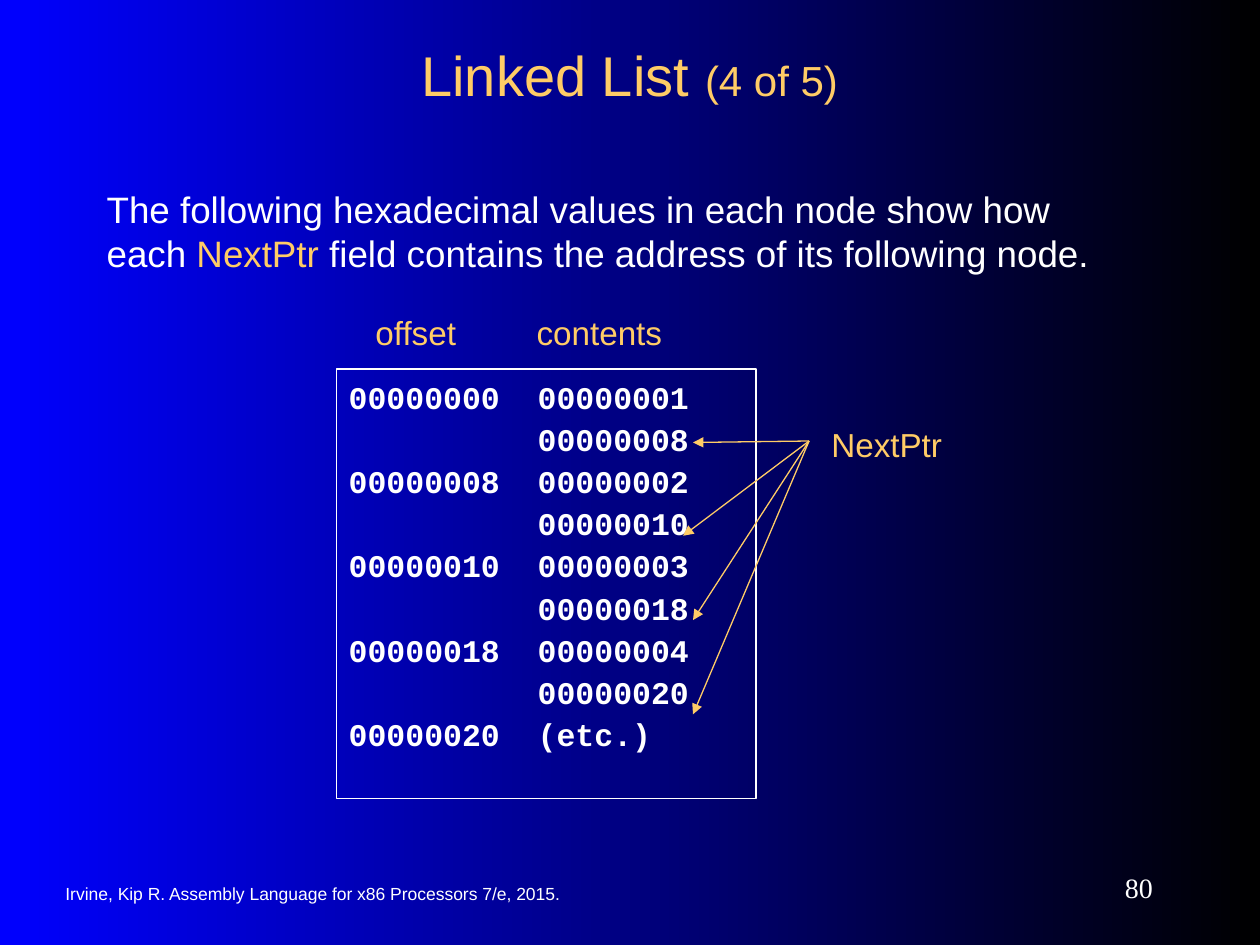
from dataclasses import dataclass
from lxml import etree
from pptx import Presentation
from pptx import util as u
from pptx.dml.color import RGBColor
from pptx.enum import shapes, text
from pptx.oxml.ns import qn


@dataclass(frozen=True)
class Theme:
    white: str = "FFFFFF"
    gold: str = "FFCC66"
    background: tuple = ("0000FF", "000000")
    sans: str = "Arial"
    mono: str = "Courier New"
    serif: str = "Times New Roman"
    title: int = 32
    subtitle: int = 24
    body: int = 21
    label: int = 19
    code: int = 18
    number: int = 16
    footer: int = 10
    line: float = 0.75


theme = Theme()

# Content: (offset, contents) of each memory row
title = [("Linked List ", {}), ("(4 of 5)", {"size": theme.subtitle})]
intro = [
    ("The following hexadecimal values in each node show how each ", {}),
    ("NextPtr", {"color": theme.gold}),
    (" field contains the address of its following node.", {}),
]
memory = [
    ("00000000", "00000001"), ("", "00000008"),
    ("00000008", "00000002"), ("", "00000010"),
    ("00000010", "00000003"), ("", "00000018"),
    ("00000018", "00000004"), ("", "00000020"),
    ("00000020", "(etc.)"),
]
footer = "Irvine, Kip R. Assembly Language for x86 Processors 7/e, 2015."
pointer_start = (16.31, 8.89)
pointer_ends = [(13.97, 8.92), (13.77, 10.8), (13.97, 12.5), (13.97, 14.4)]


def add_text(page, paragraphs, at, size, color=theme.white, font=theme.sans, bold=False,
             align=text.PP_ALIGN.LEFT, middle=False, inset=0.25, tab=None,
             spacing=None, border=None):
    """Each paragraph is a list of (words, overrides); lengths are in cm."""
    place = [u.Cm(value) for value in at]
    if border:
        box = page.shapes.add_shape(shapes.MSO_SHAPE.RECTANGLE, *place)
        box.shadow.inherit = False
        box.fill.background()
        box.line.color.rgb = RGBColor.from_string(border)
        box.line.width = u.Pt(theme.line)
    else:
        box = page.shapes.add_textbox(*place)
    frame = box.text_frame
    frame.word_wrap = True
    frame.margin_left, frame.margin_right = u.Cm(inset), u.Cm(0.25)
    frame.margin_top = frame.margin_bottom = u.Cm(0.13 if middle else 0.38)
    anchors = text.MSO_ANCHOR
    frame.vertical_anchor = anchors.MIDDLE if middle else anchors.TOP
    if not middle:
        frame.auto_size = text.MSO_AUTO_SIZE.SHAPE_TO_FIT_TEXT
    for index, parts in enumerate(paragraphs):
        para = frame.add_paragraph() if index else frame.paragraphs[0]
        para.alignment = align
        if spacing:
            para.line_spacing = spacing
        properties = para._p.get_or_add_pPr()
        if not middle:
            before = etree.SubElement(properties, qn("a:spcBef"))
            etree.SubElement(before, qn("a:spcPct"), val="50000")
        if tab:
            tabs = etree.SubElement(properties, qn("a:tabLst"))
            etree.SubElement(tabs, qn("a:tab"), pos=str(int(u.Cm(tab))), algn="l")
        for words, changes in parts:
            span = para.add_run()
            span.text = words
            span.font.name = font
            span.font.bold = bold
            span.font.size = u.Pt(changes.get("size", size))
            span.font.color.rgb = RGBColor.from_string(changes.get("color", color))
    return box


def add_arrow(page, start, end):
    arrow = page.shapes.add_connector(
        shapes.MSO_CONNECTOR.STRAIGHT, *[u.Cm(value) for value in start + end])
    arrow.line.color.rgb = RGBColor.from_string(theme.gold)
    arrow.line.width = u.Pt(theme.line)
    etree.SubElement(arrow.line._get_or_add_ln(), qn("a:tailEnd"), type="triangle")
    etree.SubElement(arrow._element.spPr, qn("a:effectLst"))


deck = Presentation()
deck.slide_width, deck.slide_height = u.Cm(25.4), u.Cm(19.05)
page = deck.slides.add_slide(deck.slide_layouts[6])

# Background
fill = page.background.fill
fill.gradient()
fill.gradient_angle = 0
for stop, color in zip(fill.gradient_stops, theme.background):
    stop.color.rgb = RGBColor.from_string(color)

# Footer, slide number and title
add_text(page, [[(footer, {})]], (1.07, 17.6, 12.07, 0.84), theme.footer, middle=True)
add_text(page, [[("80", {})]], (20.75, 17.35, 2.74, 1.07), theme.number,
         font=theme.serif, align=text.PP_ALIGN.RIGHT, middle=True)
add_text(page, [title], (1.9, 0.64, 21.59, 1.7), theme.title, color=theme.gold,
         align=text.PP_ALIGN.CENTER, middle=True)

# Memory listing with its column heads
rows = [[(f"{offset}\t{contents}", {})] for offset, contents in memory]
add_text(page, rows, (6.78, 7.44, 8.46, 8.66), theme.code, font=theme.mono, bold=True,
         tab=3.81, spacing=0.7, border=theme.white)
add_text(page, [[("offset\tcontents", {})]], (6.78, 5.92, 8.26, 1.55), theme.label,
         color=theme.gold, inset=0.79, tab=3.25)

# Explanation
add_text(page, [intro], (1.9, 3.38, 21.16, 2.54), theme.body)

# Pointer label and arrows
add_text(page, [[("NextPtr", {})]], (16.51, 8.18, 3.38, 1.55), theme.label,
         color=theme.gold)
for end in pointer_ends:
    add_arrow(page, pointer_start, end)

deck.save("out.pptx")
